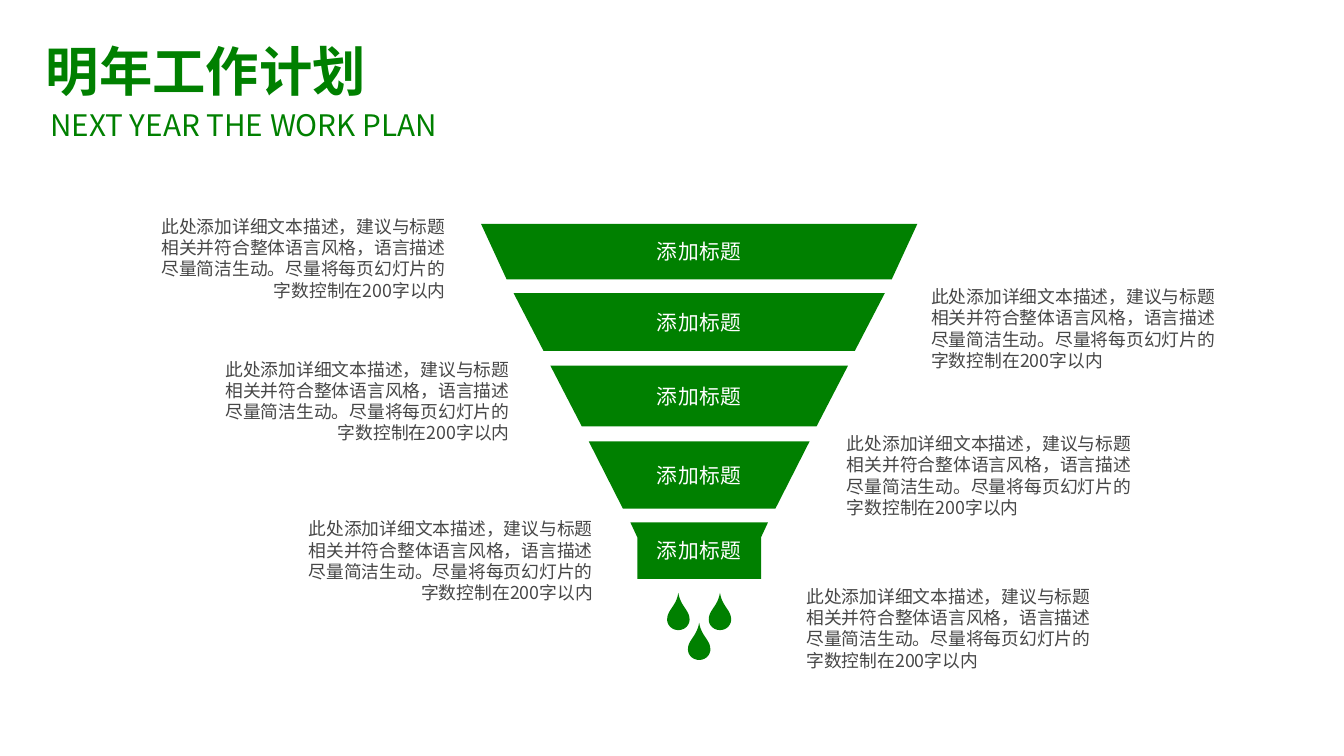
from dataclasses import dataclass

from pptx import Presentation, util as u
from pptx.dml.color import RGBColor
from pptx.enum import text as t
from pptx.oxml.ns import qn

# Grid: columns and rows of a tenth of an inch
CELL = u.Inches(0.1)
COLS, ROWS = 126, 70.9
MID = 65.55  # axis of the funnel

GREEN = RGBColor(0x00, 0x80, 0x00)
WHITE = RGBColor(0xFF, 0xFF, 0xFF)
GREY = RGBColor(0x47, 0x47, 0x47)
FONT = "Noto Sans CJK SC"
LABEL = "添加标题"
DETAIL = ("此处添加详细文本描述，建议与标题相关并符合整体语言风格，"
          "语言描述尽量简洁生动。尽量将每页幻灯片的字数控制在200字以内")
LEFT, RIGHT, CENTER = t.PP_ALIGN.LEFT, t.PP_ALIGN.RIGHT, t.PP_ALIGN.CENTER

Point = tuple[float, float]


@dataclass
class Band:
    top: float
    base: float
    wide: float  # half width at the top
    slim: float  # half width at the base
    neck: float | None = None  # row where the sides turn straight down

    def outline(self) -> list[Point]:
        side = [(self.wide, self.top), (self.slim, self.base)]
        if self.neck:
            side.insert(1, (self.slim, self.neck))
        return mirror(side, MID)


@dataclass
class Note:
    left: float
    top: float
    align: t.PP_ALIGN


BANDS = [
    Band(21, 26.2, 20.45, 18.05),
    Band(27.5, 32.9, 17.4, 14.6),
    Band(34.3, 40, 13.95, 11),
    Band(41.4, 47.7, 10.35, 7.15),
    Band(49, 54.3, 6.45, 5.8, 50.4),
]
NOTES = [
    Note(14.2, 20.2, RIGHT), Note(87.3, 26.8, LEFT),
    Note(20.2, 33.6, RIGHT), Note(79.4, 40.6, LEFT),
    Note(28, 48.6, RIGHT), Note(75.6, 54.9, LEFT),
]
TIPS = [(MID - 1.95, 55.6), (MID + 1.95, 55.6), (MID, 58.4)]
# Half a drop, from the tip to the bottom, as two Bezier curves
CURVES = [
    [(0, 0), (0.2, 1.3), (1.05, 1.6), (1.05, 2.5)],
    [(1.05, 2.5), (1.05, 3.05), (0.6, 3.5), (0, 3.5)],
]


def mirror(side: list[Point], mid: float) -> list[Point]:
    """Close a right-hand side with its reflection about the axis."""
    return ([(mid + x, y) for x, y in side]
            + [(mid - x, y) for x, y in reversed(side)])


def bezier(pts: list[Point], s: float) -> Point:
    mix = ((1 - s) ** 3, 3 * s * (1 - s) ** 2, 3 * s * s * (1 - s), s ** 3)
    return (sum(m * x for m, (x, _) in zip(mix, pts)),
            sum(m * y for m, (_, y) in zip(mix, pts)))


def drop(tip: Point) -> list[Point]:
    half = [bezier(c, n / 12) for c in CURVES for n in range(13)]
    return mirror([(x, tip[1] + y) for x, y in half], tip[0])


def draw(slide, paths: list[list[Point]]):
    """Draw closed outlines as one green shape."""
    loops = [[(x * CELL, y * CELL) for x, y in path] for path in paths]
    pen = slide.shapes.build_freeform(*loops[0][0], scale=1.0)
    for n, loop in enumerate(loops):
        if n:
            pen.move_to(*loop[0])
        pen.add_line_segments(loop[1:], close=True)
    shape = pen.convert_to_shape()
    shape.shadow.inherit = False
    shape.fill.solid()
    shape.fill.fore_color.rgb = GREEN
    shape.line.fill.background()
    return shape


def place(shape, left: float, top: float, width: float, height: float) -> None:
    shape.left, shape.top = u.Emu(int(left * CELL)), u.Emu(int(top * CELL))
    shape.width, shape.height = u.Emu(int(width * CELL)), u.Emu(int(height * CELL))


def write(shape, words: str, size: float, color: RGBColor, align: t.PP_ALIGN,
          anchor=t.MSO_ANCHOR.TOP, bold: bool = False, inset: Point = (0, 0)):
    frame = shape.text_frame
    frame.text = words
    frame.word_wrap = True
    frame.auto_size = t.MSO_AUTO_SIZE.NONE
    frame.vertical_anchor = anchor
    frame.margin_left = frame.margin_right = u.Inches(inset[0])
    frame.margin_top = frame.margin_bottom = u.Inches(inset[1])
    para = frame.paragraphs[0]
    para.alignment = align
    run = para.runs[0]
    run.font.size, run.font.bold = u.Pt(size), bold
    run.font.color.rgb = color
    run.font.name = FONT
    # East Asian typeface follows the Latin one
    props = run._r.get_or_add_rPr()
    asian = props.makeelement(qn("a:ea"), {"typeface": FONT})
    props.find(qn("a:latin")).addnext(asian)
    return run


def main() -> None:
    deck = Presentation()
    deck.slide_width, deck.slide_height = int(COLS * CELL), int(ROWS * CELL)
    slide = deck.slides.add_slide(deck.slide_layouts[5])

    # Heading
    title = slide.shapes.title
    place(title, 3.2, 3, 39.9, 7.2)
    write(title, "明年工作计划", 36, GREEN, LEFT, bold=True, inset=(0.11, 0.06))
    sub = slide.shapes.add_textbox(0, 0, 0, 0)
    place(sub, 4.7, 10, 44.9, 3.4)
    write(sub, "NEXT YEAR THE WORK PLAN", 20, GREEN, LEFT)

    # Funnel bands with their labels
    for band in BANDS:
        shape = draw(slide, [band.outline()])
        run = write(shape, LABEL, 14, WHITE, CENTER, t.MSO_ANCHOR.MIDDLE)
        run._r.get_or_add_rPr().set("spc", "30")

    # Drops below the funnel
    draw(slide, [drop(tip) for tip in TIPS])

    # Descriptions on both sides
    for note in NOTES:
        box = slide.shapes.add_textbox(0, 0, 0, 0)
        place(box, note.left, note.top, 27.6, 8.1)
        write(box, DETAIL, 12, GREY, note.align)

    deck.save("out.pptx")


if __name__ == "__main__":
    main()
